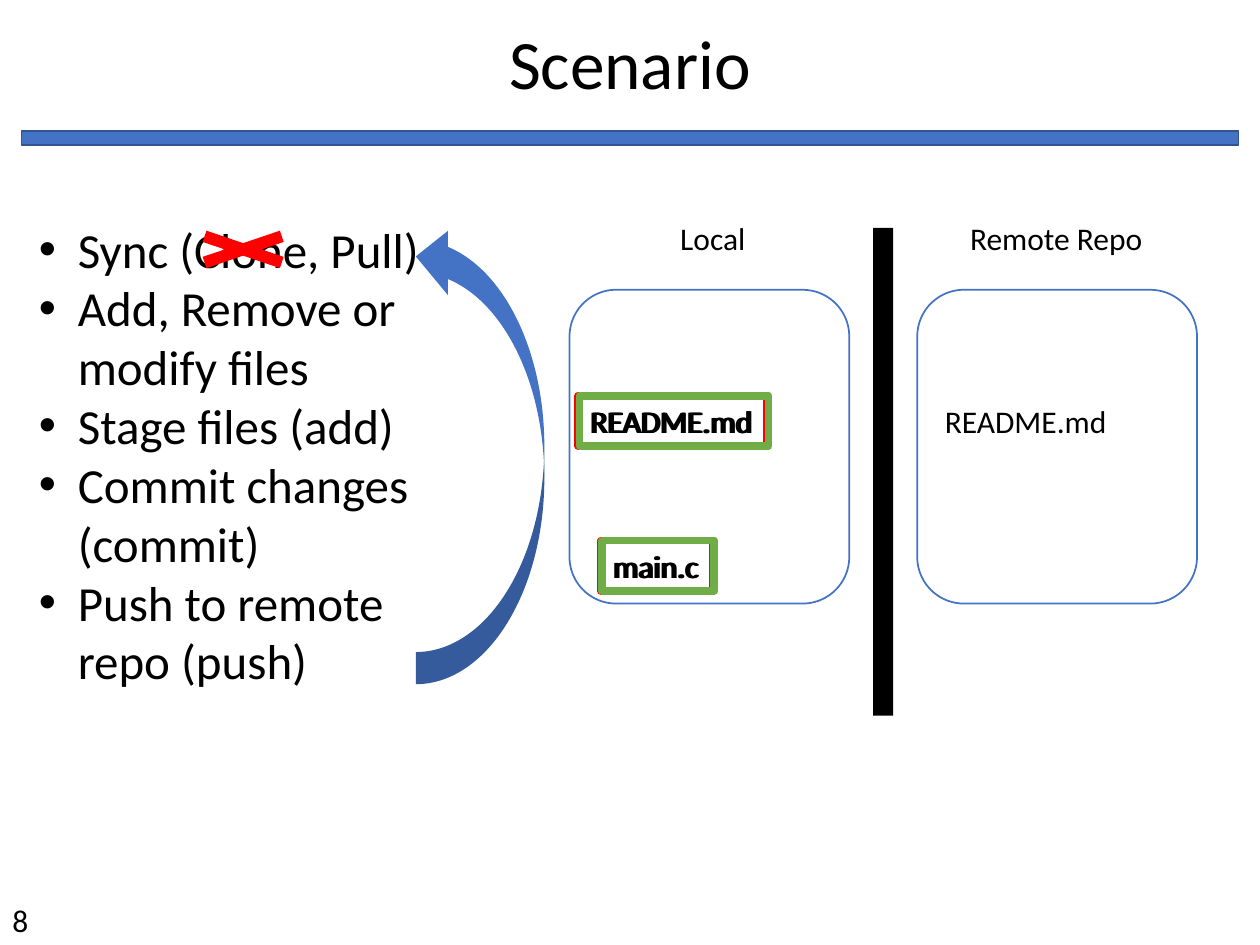
from lxml import etree
from pptx import Presentation
from pptx import util as u
from pptx.dml.color import RGBColor
from pptx.enum import shapes, text
from pptx.oxml.ns import qn

COLUMNS, ROWS = 100, 75
BLUE, NAVY, RED, GREEN, BLACK, WHITE = (
    "4472C4", "325491", "FF0000", "70AD47", "000000", "FFFFFF")


def color(hex_code):
    return RGBColor.from_string(hex_code)


class Deck:
    """Style and current slide; places are (column, row, columns, rows)."""
    font = "Calibri"
    label_size = 18

    def __init__(self):
        self.prs = Presentation()
        self.prs.slide_width, self.prs.slide_height = u.Inches(10), u.Inches(7.5)
        self.slide = self.prs.slides.add_slide(self.prs.slide_layouts[6])

    def place(self, column, row, columns, rows):
        cell_w = self.prs.slide_width / COLUMNS
        cell_h = self.prs.slide_height / ROWS
        return (round(column * cell_w), round(row * cell_h),
                round(columns * cell_w), round(rows * cell_h))

    def shape(self, kind, place, fill, line=None, rotation=0):
        shape = self.slide.shapes.add_shape(kind, *self.place(*place))
        shape.shadow.inherit = False
        shape.rotation = rotation
        shape.fill.solid()
        shape.fill.fore_color.rgb = color(fill)
        if line:
            self.outline(shape, line, 1)
        else:
            shape.line.fill.background()

    def outline(self, shape, line, width):
        shape.line.color.rgb = color(line)
        shape.line.width = u.Pt(width)

    def text_box(self, place, lines, size=label_size, wrap=False):
        box = self.slide.shapes.add_textbox(*self.place(*place))
        frame = box.text_frame
        frame.text = "\n".join(lines)
        frame.word_wrap = wrap
        frame.auto_size = text.MSO_AUTO_SIZE.SHAPE_TO_FIT_TEXT
        for paragraph in frame.paragraphs:
            for run in paragraph.runs:
                run.font.name, run.font.size = self.font, u.Pt(size)
                run.font.color.rgb = color(BLACK)
        return box

    def title(self, place, words):
        frame = self.text_box(place, [words], 39.6, wrap=True).text_frame
        frame.auto_size = text.MSO_AUTO_SIZE.NONE
        frame.vertical_anchor = text.MSO_ANCHOR.MIDDLE
        frame.paragraphs[0].alignment = text.PP_ALIGN.CENTER
        frame.paragraphs[0].line_spacing = 0.9

    def bullets(self, place, lines):
        indent = u.Inches(0.31)
        for paragraph in self.text_box(place, lines, 28, wrap=True).text_frame.paragraphs:
            props = paragraph._p.get_or_add_pPr()
            props.set("marL", str(indent))
            props.set("indent", str(-indent))
            etree.SubElement(props, qn("a:buFont"), typeface="Arial")
            etree.SubElement(props, qn("a:buChar"), char="•")

    def label(self, place, words, line=None):
        box = self.text_box(place, [words])
        if line:
            self.outline(box, line, 4.5)


def main():
    deck = Deck()
    preset = shapes.MSO_SHAPE
    deck.shape(preset.RECTANGLE, (1.7, 10.4, 96.6, 1.1), BLUE, NAVY)
    deck.text_box((0, 71, 6.9, 4), ["8"], wrap=True)
    deck.title((6.9, 1.5, 86.2, 7.6), "Scenario")
    deck.bullets((2.1, 16.9, 34.7, 38.7), [
        "Sync (Clone, Pull)",
        "Add, Remove or modify files",
        "Stage files (add)",
        "Commit changes (commit)",
        "Push to remote repo (push)",
    ])

    for repo_left, name, name_left, name_width in (
            (72.8, "Remote Repo", 76, 15.9), (45.2, "Local", 53, 7.2)):
        deck.shape(preset.ROUNDED_RECTANGLE, (repo_left, 23, 22.2, 24.9), WHITE, BLUE)
        deck.label((name_left, 16.9, name_width, 4), name)
    deck.label((74, 31.4, 15, 4), "README.md")
    deck.shape(preset.RECTANGLE, (69.3, 18.1, 1.6, 38.7), BLACK)

    # Each local file is stacked by state: modified, staged, committed, pushed
    files = (("main.c", 47.6, 42.9, 8.9), ("README.md", 45.8, 31.4, 15))
    for line, shift in ((RED, 0.1), (GREEN, 0.2), (None, 0.1), (None, 0)):
        for name, left, top, width in files:
            deck.label((left + shift, top, width, 4), name, line)

    deck.shape(preset.CURVED_RIGHT_ARROW, (33, 17.8, 10.2, 36.5), BLUE, rotation=180)
    deck.shape(preset.MATH_MULTIPLY, (13.4, 17.8, 11.8, 4), RED)
    deck.prs.save("out.pptx")


if __name__ == "__main__":
    main()
